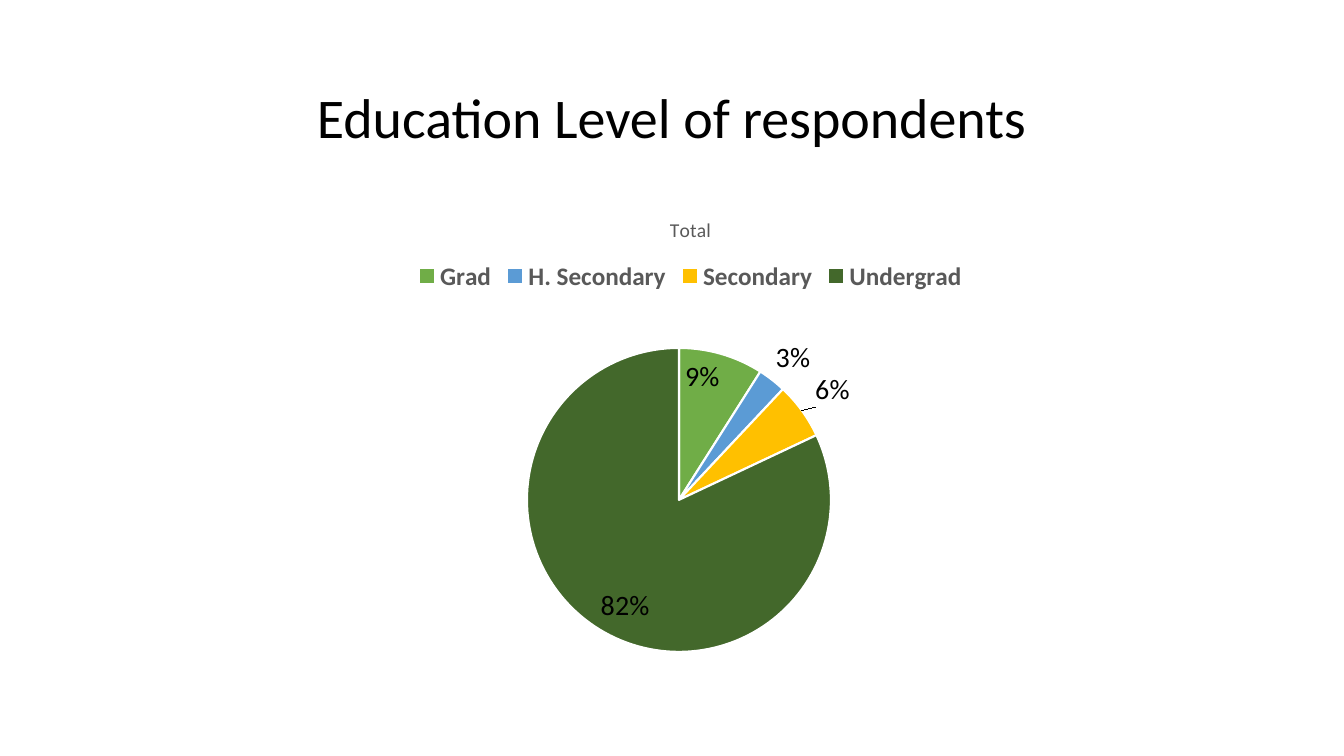
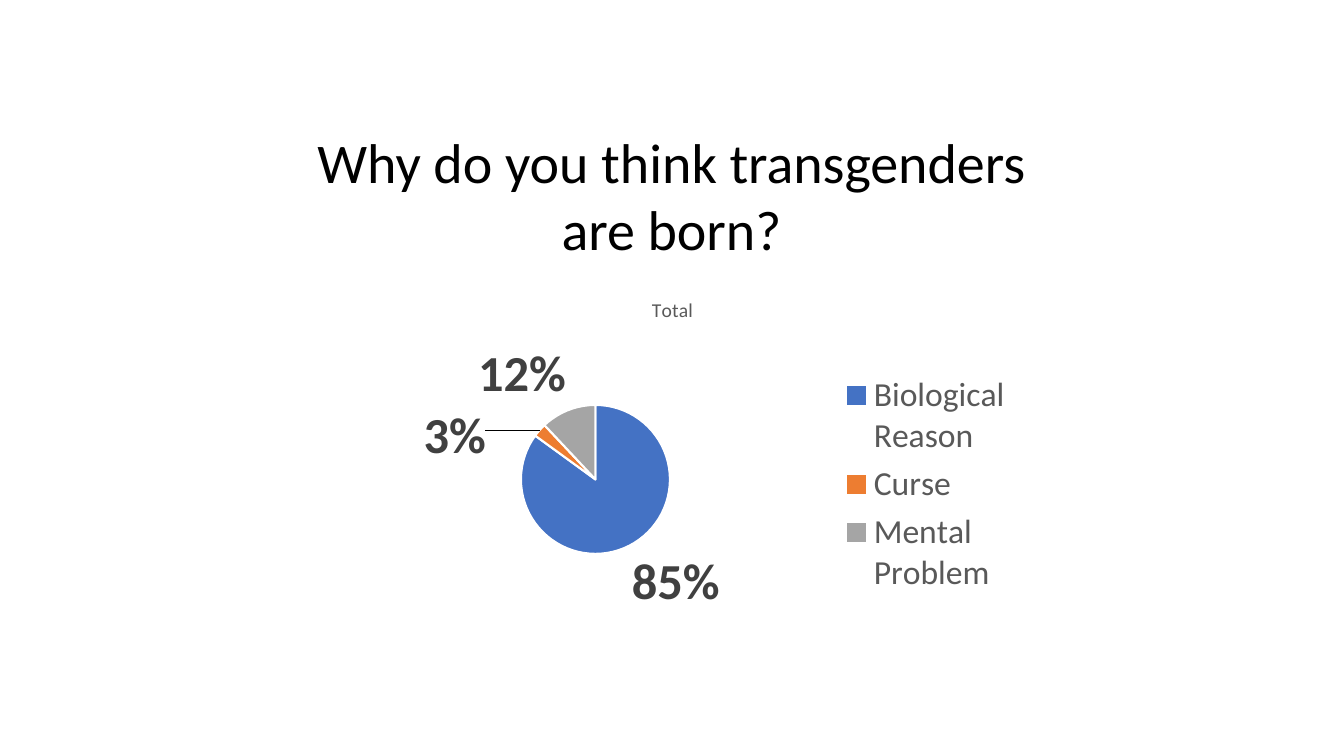
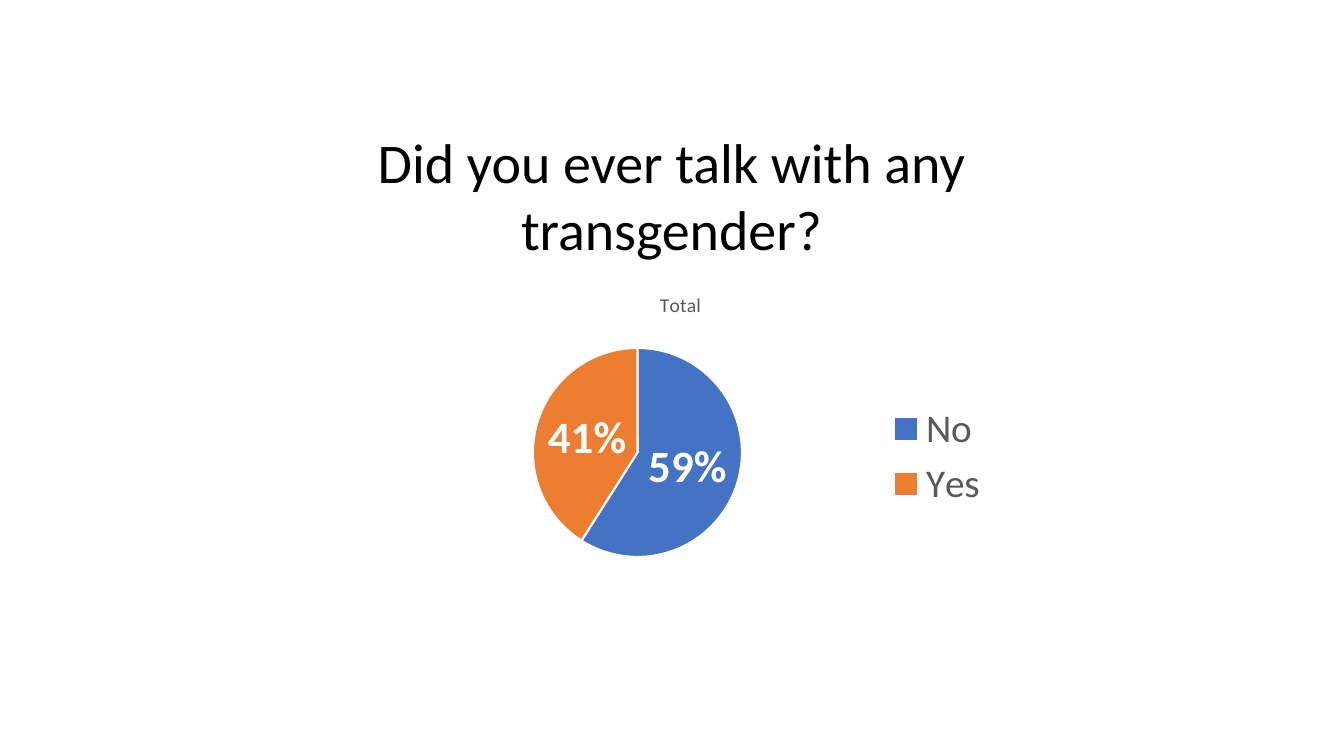
import pptx
import pptx.chart.data
import pptx.dml.color
import pptx.enum.chart
import pptx.enum.text
import pptx.oxml
import pptx.oxml.ns
import pptx.util

RGB = pptx.dml.color.RGBColor
POS = pptx.enum.chart.XL_LABEL_POSITION
LEGEND = pptx.enum.chart.XL_LEGEND_POSITION

EMU_PER_PX = 914400 / 100.8
FONT = "Calibri"
BLACK = RGB(0x00, 0x00, 0x00)
WHITE = RGB(0xFF, 0xFF, 0xFF)
GRAY = RGB(0x59, 0x59, 0x59)
DARK_GRAY = RGB(0x40, 0x40, 0x40)
SILVER = RGB(0xA5, 0xA5, 0xA5)
GREEN = RGB(0x70, 0xAD, 0x47)
DARK_GREEN = RGB(0x43, 0x68, 0x2B)
SKY = RGB(0x5B, 0x9B, 0xD5)
BLUE = RGB(0x44, 0x72, 0xC4)
ORANGE = RGB(0xED, 0x7D, 0x31)
GOLD = RGB(0xFF, 0xC0, 0x00)


def px(n):
    return pptx.util.Emu(round(n * EMU_PER_PX))


def set_font(font, size, color, bold=False):
    font.name = FONT
    font.size = pptx.util.Pt(size)
    font.color.rgb = color
    font.bold = bold


def manual_layout(parts):
    """Chart layout element from (tag, value) pairs."""
    inner = "".join(f'<c:{tag} val="{val}"/>' for tag, val in parts)
    return pptx.oxml.parse_xml(
        f'<c:layout {pptx.oxml.ns.nsdecls("c")}>'
        f"<c:manualLayout>{inner}</c:manualLayout></c:layout>")


class Deck:
    def __init__(self):
        self.prs = pptx.Presentation()
        self.prs.slide_width, self.prs.slide_height = px(1344), px(756)
        self.s = None

    def slide(self, title, top):
        self.s = self.prs.slides.add_slide(self.prs.slide_layouts[5])
        sp = self.s.shapes.title
        sp.left, sp.top, sp.width, sp.height = px(276), px(top), px(791), px(121)
        sp.fill.solid()
        sp.fill.fore_color.rgb = WHITE
        ns = pptx.oxml.ns.nsdecls("a")
        sp.element.spPr.xfrm.addnext(pptx.oxml.parse_xml(
            f'<a:prstGeom {ns} prst="roundRect"><a:avLst/></a:prstGeom>'))
        sp.element.xpath("./p:spPr/a:solidFill/a:srgbClr")[0].append(
            pptx.oxml.parse_xml(f'<a:alpha {ns} val="60000"/>'))
        tf = sp.text_frame
        tf.text = title
        tf.word_wrap = True
        tf.auto_size = pptx.enum.text.MSO_AUTO_SIZE.NONE
        tf.vertical_anchor = pptx.enum.text.MSO_ANCHOR.MIDDLE
        p = tf.paragraphs[0]
        p.alignment = pptx.enum.text.PP_ALIGN.CENTER
        set_font(p.font, 40, BLACK)

    def pie(self, box, circle, slices, legend, label):
        """Pie chart.

        box: left, top, width, height; circle: left, top, diameter;
        slices: (name, percent, color, label position, label shift);
        legend: (position, size, bold); label: (size, color, bold).
        """
        left, top, width, height = box
        data = pptx.chart.data.CategoryChartData()
        data.categories = [name for name, *_ in slices]
        data.add_series("Total", [percent for _, percent, *_ in slices])
        chart = self.s.shapes.add_chart(
            pptx.enum.chart.XL_CHART_TYPE.PIE, *map(px, box), data).chart
        set_font(chart.font, 10, BLACK)

        chart.has_title = True
        tf = chart.chart_title.text_frame
        tf.text = "Total"
        set_font(tf.paragraphs[0].font, 14, GRAY)

        position, size, bold = legend
        chart.has_legend = True
        chart.legend.position = position
        chart.legend.include_in_layout = False
        set_font(chart.legend.font, size, GRAY, bold)

        x, y, diameter = circle
        area = chart.element.xpath(".//c:plotArea")[0]
        for old in area.xpath("./c:layout"):
            area.remove(old)
        area.insert(0, manual_layout([
            ("layoutTarget", "inner"), ("xMode", "edge"), ("yMode", "edge"),
            ("x", round((x - left) / width, 4)),
            ("y", round((y - top) / height, 4)),
            ("w", round(diameter / width, 4)),
            ("h", round(diameter / height, 4))]))

        plot = chart.plots[0]
        plot.vary_by_categories = True
        series = plot.series[0]
        labels = series.data_labels
        labels.show_value, labels.show_percentage = False, True
        labels.number_format = "0%"
        labels.number_format_is_linked = False
        set_font(labels.font, *label)
        for i, (_, _, color, spot, shift) in enumerate(slices):
            point = series.points[i]
            point.format.fill.solid()
            point.format.fill.fore_color.rgb = color
            point.format.line.color.rgb = WHITE
            point.format.line.width = pptx.util.Pt(1.5)
            set_font(point.data_label.font, *label)
            point.data_label.position = spot
            dLbl = chart.element.xpath(f".//c:dLbl[c:idx/@val='{i}']")[0]
            dLbl.xpath("./c:showVal")[0].set("val", "0")
            dLbl.xpath("./c:showPercent")[0].set("val", "1")
            if shift:
                dLbl.insert(1, manual_layout(zip("xy", shift)))


def main():
    deck = Deck()
    inside, outside, center = POS.INSIDE_END, POS.OUTSIDE_END, POS.CENTER

    deck.slide("Education Level of respondents", 56)
    deck.pie((260, 198, 861, 469), (527, 348, 304),
             [("Grad", 9, GREEN, inside, None),
              ("H. Secondary", 3, SKY, outside, None),
              ("Secondary", 6, GOLD, outside, (0.01, 0)),
              ("Undergrad", 82, DARK_GREEN, inside, None)],
             (LEGEND.TOP, 18, True), (20, BLACK))

    deck.slide("Why do you think transgenders are born?", 134)
    deck.pie((321, 279, 703, 411), (521, 405, 149),
             [("Biological Reason", 85, BLUE, outside, None),
              ("Curse", 3, ORANGE, outside, (-0.07, 0.1)),
              ("Mental Problem", 12, SILVER, outside, None)],
             (LEGEND.RIGHT, 24, False), (36, DARK_GRAY, True))

    deck.slide("Did you ever talk with any transgender?", 134)
    deck.pie((360, 275, 641, 363), (533, 348, 209),
             [("No", 59, BLUE, center, None),
              ("Yes", 41, ORANGE, center, None)],
             (LEGEND.RIGHT, 28, False), (32, WHITE, True))

    deck.prs.save("out.pptx")


if __name__ == "__main__":
    main()
